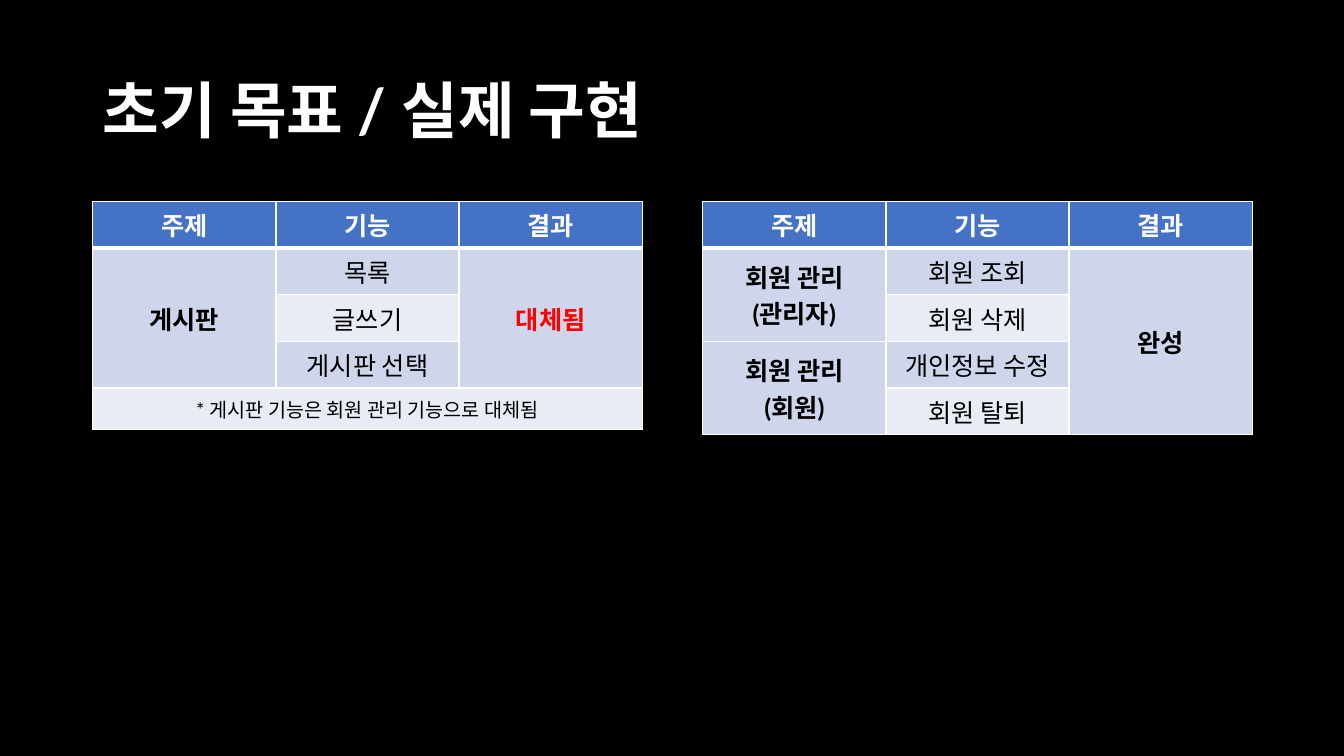
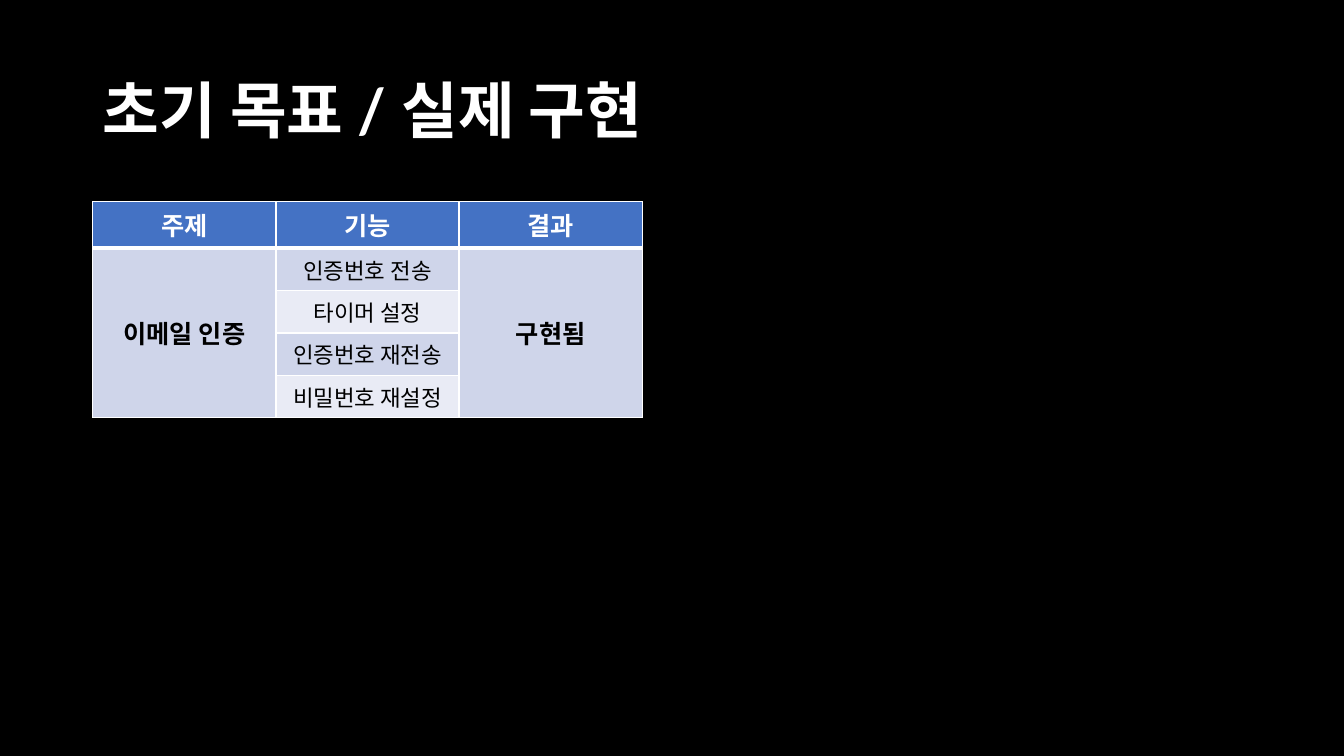
"""Build two slides that compare the initial goals with the actual implementation."""
from pptx import Presentation, util as u
from pptx.dml.color import RGBColor
from pptx.enum import text
from pptx.oxml import parse_xml
from pptx.oxml.ns import nsdecls

FONT = "Lato"
BLACK, WHITE, RED, BLUE = "000000", "FFFFFF", "FF0000", "4472C4"
BANDS = ("E9EBF5", "CFD5EA")
TITLE = "초기 목표 / 실제 구현"
HEADINGS = ("주제", "기능", "결과")
LEFT, TITLE_TOP, TITLE_WIDTH, TITLE_HEIGHT = 0.92, 0.4, 11.5, 1.45
TABLE_TOP, TABLE_WIDTH, TABLE_GAP = 2, 5.45, 0.6
ROW_HEIGHTS = {18: 0.46, 16: 0.42, 14: 0.41}

SLIDES = [
    [
        {"topics": [("게시판", 3)],
         "features": ["목록", "글쓰기", "게시판 선택"], "feature_size": 18,
         "result": ("대체됨", RED),
         "note": "* 게시판 기능은 회원 관리 기능으로 대체됨"},
        {"topics": [("회원 관리\n(관리자)", 2), ("회원 관리\n(회원)", 2)],
         "features": ["회원 조회", "회원 삭제", "개인정보 수정", "회원 탈퇴"],
         "feature_size": 18, "result": ("완성", BLACK)},
    ],
    [
        {"topics": [("이메일 인증", 4)],
         "features": ["인증번호 전송", "타이머 설정", "인증번호 재전송", "비밀번호 재설정"],
         "feature_size": 16, "result": ("구현됨", BLACK)},
    ],
]


def rgb(value):
    return RGBColor.from_string(value)


def style(run, size, color, bold):
    for name, value in {"name": FONT, "size": u.Pt(size), "bold": bold}.items():
        setattr(run.font, name, value)
    run.font.color.rgb = rgb(color)


def add_title(slide):
    title = slide.shapes.title
    place = {"left": LEFT, "top": TITLE_TOP, "width": TITLE_WIDTH, "height": TITLE_HEIGHT}
    for name, inches in place.items():
        setattr(title, name, u.Inches(inches))
    title.text_frame.vertical_anchor = text.MSO_ANCHOR.MIDDLE
    line = title.text_frame.paragraphs[0]
    line.text = TITLE
    line.alignment, line.line_spacing = text.PP_ALIGN.LEFT, 0.9
    style(line.runs[0], 44, WHITE, True)


def paint(cell, row):
    properties = cell._tc.get_or_add_tcPr()
    widths = {"lnL": 1, "lnR": 1, "lnT": 3 if row == 1 else 1, "lnB": 3 if row == 0 else 1}
    for side, points in widths.items():
        properties.append(parse_xml(
            f'<a:{side} {nsdecls("a")} w="{u.Pt(points)}"><a:solidFill>'
            f'<a:srgbClr val="{WHITE}"/></a:solidFill></a:{side}>'))
    cell.fill.solid()
    cell.fill.fore_color.rgb = rgb(BANDS[row % 2] if row else BLUE)


def write(cell, words, size=18, color=BLACK, bold=True):
    cell.vertical_anchor = text.MSO_ANCHOR.MIDDLE
    line = cell.text_frame.paragraphs[0]
    line.text = words
    line.alignment = text.PP_ALIGN.CENTER
    if "\n" in words:
        line.line_spacing = u.Pt(26)
    for run in line.runs:
        style(run, size, color, bold)


def add_goals(slide, goals, left):
    features, note = goals["features"], goals.get("note")
    last = len(features)
    sizes = [18] + [goals["feature_size"]] * last + ([14] if note else [])
    heights = [ROW_HEIGHTS[size] for size in sizes]
    count = len(heights)
    table = slide.shapes.add_table(
        count, len(HEADINGS), u.Inches(left), u.Inches(TABLE_TOP),
        u.Inches(TABLE_WIDTH), u.Inches(sum(heights))).table
    for row, height in enumerate(heights):
        table.rows[row].height = u.Inches(height)
        for column in range(len(HEADINGS)):
            paint(table.cell(row, column), row)
    for column, heading in enumerate(HEADINGS):
        write(table.cell(0, column), heading, color=WHITE)
    for row, feature in enumerate(features, 1):
        write(table.cell(row, 1), feature, goals["feature_size"], bold=False)
    row = 1
    for topic, span in goals["topics"]:
        table.cell(row, 0).merge(table.cell(row + span - 1, 0))
        write(table.cell(row, 0), topic)
        row += span
    result, color = goals["result"]
    table.cell(1, 2).merge(table.cell(last, 2))
    write(table.cell(1, 2), result, color=color)
    if note:
        table.cell(count - 1, 0).merge(table.cell(count - 1, 2))
        write(table.cell(count - 1, 0), note, 14, bold=False)


def main():
    deck = Presentation()
    deck.slide_width, deck.slide_height = u.Inches(13.33), u.Inches(7.5)
    backdrop = deck.slide_master.background.fill
    backdrop.solid()
    backdrop.fore_color.rgb = rgb(BLACK)
    for tables in SLIDES:
        slide = deck.slides.add_slide(deck.slide_layouts[5])
        add_title(slide)
        for index, goals in enumerate(tables):
            add_goals(slide, goals, LEFT + index * (TABLE_WIDTH + TABLE_GAP))
    deck.save("out.pptx")


if __name__ == "__main__":
    main()
